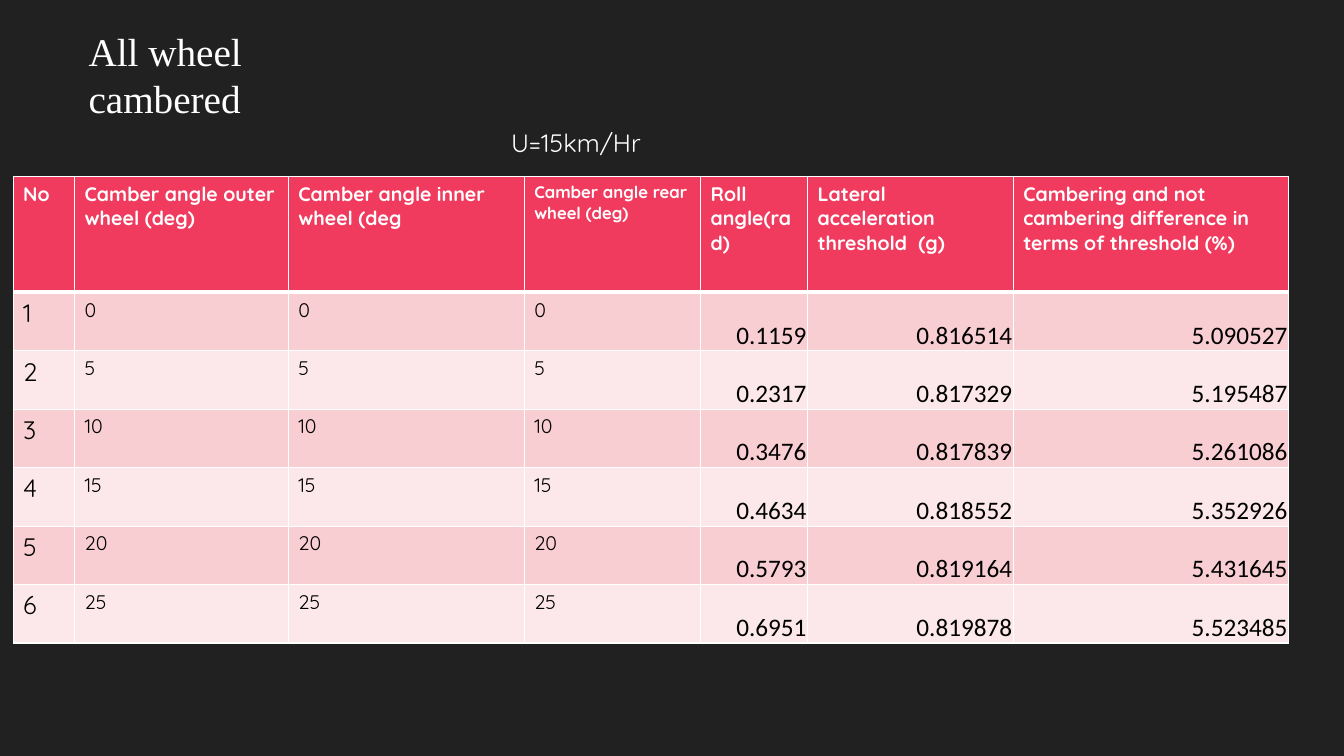
from lxml.etree import fromstring
from pptx import Presentation
from pptx.dml.color import RGBColor
from pptx.enum.text import MSO_ANCHOR, PP_ALIGN
from pptx.oxml.ns import nsdecls
from pptx.util import Inches, Pt

DARK = RGBColor(0x21, 0x21, 0x21)
WHITE = RGBColor(0xFF, 0xFF, 0xFF)
BLACK = RGBColor(0, 0, 0)
RED = RGBColor(0xF0, 0x3B, 0x5E)
PINK = RGBColor(0xF9, 0xCE, 0xD2)
PALE = RGBColor(0xFC, 0xE8, 0xEA)

HEADS = [
    "No",
    "Camber angle outer wheel (deg)",
    "Camber angle inner wheel (deg",
    "Camber angle rear wheel (deg)",
    "Roll angle(rad)",
    "Lateral acceleration threshold \t(g)",
    "Cambering and not cambering difference in terms of threshold (%)",
]
DATA = [
    ("0", "0.1159", "0.816514", "5.090527"),
    ("5", "0.2317", "0.817329", "5.195487"),
    ("10", "0.3476", "0.817839", "5.261086"),
    ("15", "0.4634", "0.818552", "5.352926"),
    ("20", "0.5793", "0.819164", "5.431645"),
    ("25", "0.6951", "0.819878", "5.523485"),
]
WIDTHS = [0.61, 2.12, 2.34, 1.75, 1.06, 2.04, 2.73]
HEIGHTS = [1.15] + [0.58] * len(DATA)


def write(frame, text, size=18, font="Quicksand", color=WHITE, bold=False,
          align=PP_ALIGN.LEFT):
    frame.word_wrap = True
    frame.text = text
    para = frame.paragraphs[0]
    para.alignment = align
    for run in para.runs:
        run.font.size = Pt(size)
        run.font.name = font
        run.font.color.rgb = color
        run.font.bold = bold


def edge(cell, top, bottom):
    """Draw white borders; top and bottom are widths in points."""
    props = cell._tc.get_or_add_tcPr()
    sides = [("L", 1), ("R", 1), ("T", top), ("B", bottom)]
    for spot, (side, width) in enumerate(sides):
        props.insert(spot, fromstring(
            f'<a:ln{side} {nsdecls("a")} w="{Pt(width)}"><a:solidFill>'
            f'<a:srgbClr val="{WHITE}"/></a:solidFill></a:ln{side}>'))


deck = Presentation()
deck.slide_width, deck.slide_height = Inches(13.33), Inches(7.5)
slide = deck.slides.add_slide(deck.slide_layouts[6])
slide.background.fill.solid()
slide.background.fill.fore_color.rgb = DARK

rows = [HEADS]
for no, (angle, *values) in enumerate(DATA, 1):
    rows.append([str(no), angle, angle, angle, *values])

table = slide.shapes.add_table(
    len(rows), len(HEADS), Inches(0.13), Inches(1.75),
    Inches(sum(WIDTHS)), Inches(sum(HEIGHTS))).table
for col, width in zip(table.columns, WIDTHS):
    col.width = Inches(width)
for row, height in zip(table.rows, HEIGHTS):
    row.height = Inches(height)

for r, row in enumerate(rows):
    for c, text in enumerate(row):
        cell = table.cell(r, c)
        cell.fill.solid()
        cell.fill.fore_color.rgb = RED if r == 0 else PINK if r % 2 else PALE
        edge(cell, top=3 if r == 1 else 1, bottom=3 if r == 0 else 1)
        if r == 0:
            write(cell.text_frame, text, size=12 if c == 3 else 14, bold=True)
        elif c < 4:
            write(cell.text_frame, text, size=14 if c else 18, color=BLACK)
        else:
            cell.vertical_anchor = MSO_ANCHOR.BOTTOM
            cell.margin_left = cell.margin_right = Inches(0.01)
            cell.margin_top, cell.margin_bottom = Inches(0.01), 0
            write(cell.text_frame, text, font="Calibri", color=BLACK,
                  align=PP_ALIGN.RIGHT)

title = slide.shapes.add_textbox(
    Inches(0.78), Inches(0.22), Inches(3.32), Inches(0.57))
write(title.text_frame, "All wheel\vcambered", size=28, font="Times New Roman")

speed = slide.shapes.add_textbox(
    Inches(4.97), Inches(1.21), Inches(1.52), Inches(0.4))
write(speed.text_frame, "U=15km/Hr")

deck.save("out.pptx")
